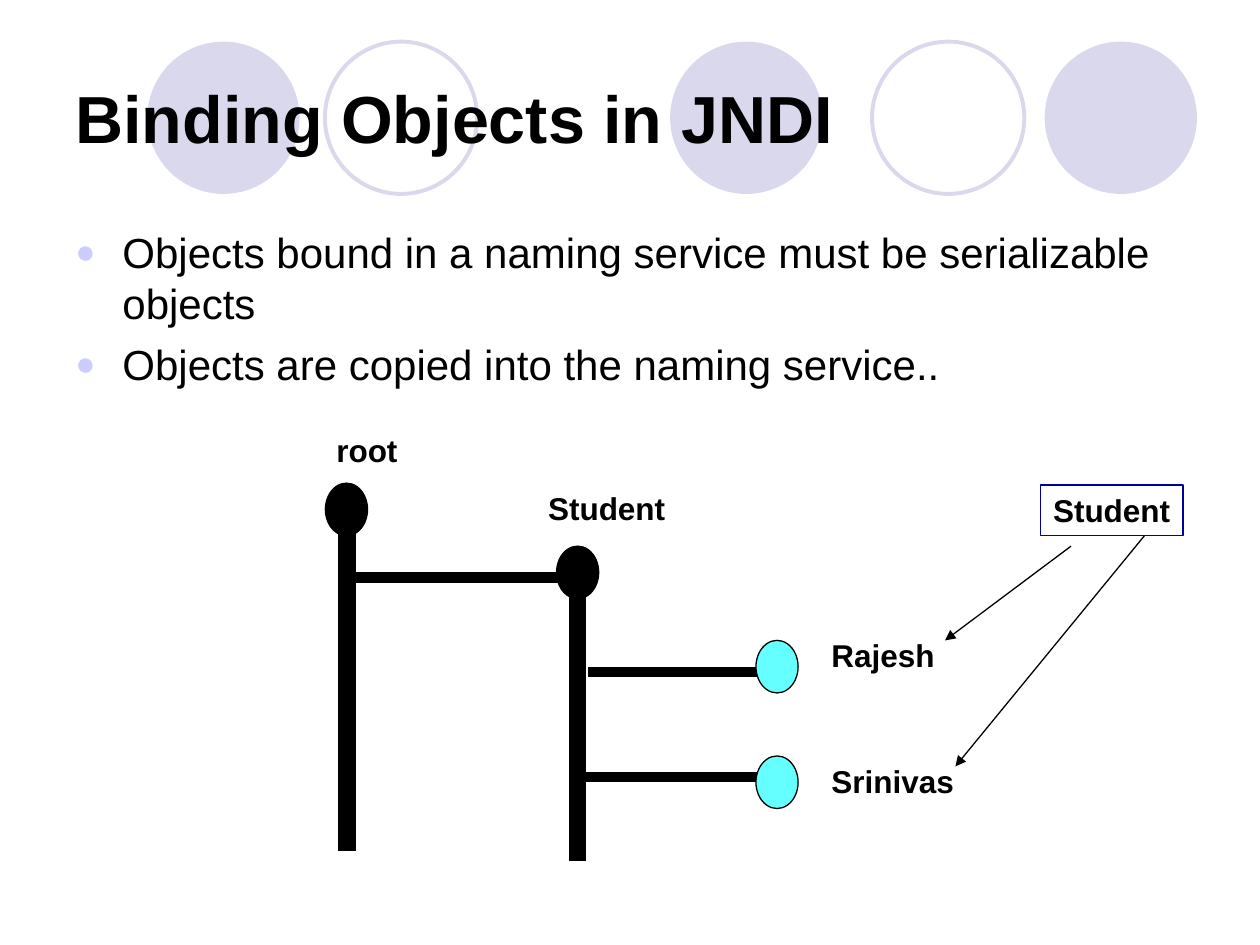
"""Build the slide on binding objects in JNDI."""
from typing import NamedTuple, Optional

from lxml import etree
from pptx import Presentation
from pptx.dml.color import RGBColor
from pptx.enum.shapes import MSO_CONNECTOR, MSO_SHAPE
from pptx.enum.text import MSO_ANCHOR, MSO_AUTO_SIZE, PP_ALIGN
from pptx.oxml.ns import qn
from pptx.util import Cm, Pt

OVAL, RECT = MSO_SHAPE.OVAL, MSO_SHAPE.RECTANGLE
STRAIGHT = MSO_CONNECTOR.STRAIGHT
TOP, MIDDLE = MSO_ANCHOR.TOP, MSO_ANCHOR.MIDDLE
FIT, LEFT = MSO_AUTO_SIZE.SHAPE_TO_FIT_TEXT, PP_ALIGN.LEFT

BLACK = RGBColor(0x00, 0x00, 0x00)
LAVENDER = RGBColor(0xD9, 0xD8, 0xEC)
BULLET = RGBColor(0xCC, 0xCC, 0xFF)
CYAN = RGBColor(0x66, 0xFF, 0xFF)
NAVY = RGBColor(0x00, 0x00, 0x9A)

CIRCLE_SIZE, CIRCLE_TOP = 3.07, 0.84
NODE_WIDTH, NODE_HEIGHT = 0.85, 1.06
LABEL_HEIGHT = 1.02
BULLET_INDENT = Cm(0.95)


class Circle(NamedTuple):
    left: float
    filled: bool


class Node(NamedTuple):
    left: float
    top: float
    fill: RGBColor


class Line(NamedTuple):
    x1: float
    y1: float
    x2: float
    y2: float
    width: float
    arrow: bool = False


class Label(NamedTuple):
    text: str
    left: float
    top: float
    width: float


CIRCLES = [Circle(13.51, True), Circle(21.06, True), Circle(2.97, True),
           Circle(17.58, False), Circle(6.55, False)]
LINES = [
    Line(6.99, 10.58, 6.99, 17.15, 10),
    Line(6.99, 11.64, 11.64, 11.64, 6),
    Line(11.64, 11.85, 11.64, 17.36, 10),
    Line(11.85, 13.55, 15.66, 13.55, 6),
    Line(11.64, 15.66, 15.45, 15.66, 6),
    Line(21.59, 11.01, 19.05, 12.91, 0.75, True),
    Line(23.07, 10.8, 19.26, 15.45, 0.75, True),
]
NODES = [Node(6.56, 9.74, BLACK), Node(11.22, 11.01, BLACK),
         Node(15.24, 12.91, CYAN), Node(15.24, 15.24, CYAN)]
LABELS = [Label("root", 6.53, 8.56, 1.85), Label("Student", 10.8, 9.74, 2.9),
          Label("Rajesh", 16.51, 12.7, 2.65), Label("Srinivas", 16.51, 15.24, 3.05)]
CLASS_BOX = Label("Student", 20.98, 9.78, 2.87)
BODY = ["Objects bound in a naming service must be serializable objects",
        "Objects are copied into the naming service.."]


def add_shape(s, kind, left: float, top: float, width: float, height: float,
              fill: Optional[RGBColor] = None, line: Optional[RGBColor] = None,
              line_width: float = 0.75):
    """Add a preset shape with the given fill and outline."""
    sp = s.shapes.add_shape(kind, Cm(left), Cm(top), Cm(width), Cm(height))
    sp.shadow.inherit = False
    if fill is None:
        sp.fill.background()
    else:
        sp.fill.solid()
        sp.fill.fore_color.rgb = fill
    if line is None:
        sp.line.fill.background()
    else:
        sp.line.color.rgb = line
        sp.line.width = Pt(line_width)
    return sp


def add_line(s, line: Line) -> None:
    """Add a straight black line, with an arrowhead at its end if wanted."""
    cx = s.shapes.add_connector(STRAIGHT, Cm(line.x1), Cm(line.y1), Cm(line.x2), Cm(line.y2))
    cx.line.color.rgb = BLACK
    cx.line.width = Pt(line.width)
    spPr = cx._element.spPr
    if line.arrow:
        etree.SubElement(spPr.find(qn("a:ln")), qn("a:tailEnd"), type="triangle")
    etree.SubElement(spPr, qn("a:effectLst"))


def add_bullet(p) -> None:
    """Give a paragraph a hanging round bullet."""
    pPr = p._p.get_or_add_pPr()
    pPr.set("marL", str(BULLET_INDENT))
    pPr.set("indent", str(-BULLET_INDENT))
    color = etree.SubElement(pPr, qn("a:buClr"))
    etree.SubElement(color, qn("a:srgbClr"), val=str(BULLET))
    etree.SubElement(pPr, qn("a:buSzPct"), val="80000")
    etree.SubElement(pPr, qn("a:buFont"), typeface="Arial")
    etree.SubElement(pPr, qn("a:buChar"), char="●")


def write(sp, *texts: str, size: float = 18, bold: bool = True, wrap: bool = False,
          anchor=TOP, bullets: bool = False) -> None:
    """Write one paragraph per text into a shape."""
    tf = sp.text_frame
    tf.word_wrap = wrap
    tf.vertical_anchor = anchor
    if not wrap:
        tf.auto_size = FIT
    for i, text in enumerate(texts):
        p = tf.add_paragraph() if i else tf.paragraphs[0]
        p.alignment = LEFT
        if i:
            p.space_before = Pt(6)
        if bullets:
            add_bullet(p)
        r = p.add_run()
        r.text = text
        r.font.name = "Arial"
        r.font.size = Pt(size)
        r.font.bold = bold
        r.font.color.rgb = BLACK


def add_text(s, left: float, top: float, width: float, height: float, *texts: str, **fmt) -> None:
    """Add a text box with formatted paragraphs."""
    write(s.shapes.add_textbox(Cm(left), Cm(top), Cm(width), Cm(height)), *texts, **fmt)


def main() -> None:
    """Build and save the slide."""
    prs = Presentation()
    prs.slide_width, prs.slide_height = Cm(25.4), Cm(19.05)
    s = prs.slides.add_slide(prs.slide_layouts[6])
    for circle in CIRCLES:
        paint = {"fill": LAVENDER} if circle.filled else {"line": LAVENDER, "line_width": 2.25}
        add_shape(s, OVAL, circle.left, CIRCLE_TOP, CIRCLE_SIZE, CIRCLE_SIZE, **paint)
    add_text(s, 1.27, 0.76, 22.86, 3.18, "Binding Objects in JNDI",
             size=38, wrap=True, anchor=MIDDLE)
    add_text(s, 1.27, 4.45, 22.86, 4.24, *BODY, size=24, bold=False, wrap=True, bullets=True)
    for line in LINES:
        add_line(s, line)
    for node in NODES:
        add_shape(s, OVAL, node.left, node.top, NODE_WIDTH, NODE_HEIGHT, node.fill, BLACK)
    for label in LABELS:
        add_text(s, label.left, label.top, label.width, LABEL_HEIGHT, label.text)
    box = add_shape(s, RECT, CLASS_BOX.left, CLASS_BOX.top, CLASS_BOX.width, LABEL_HEIGHT,
                    line=NAVY)
    write(box, CLASS_BOX.text)
    prs.save("out.pptx")


if __name__ == "__main__":
    main()
